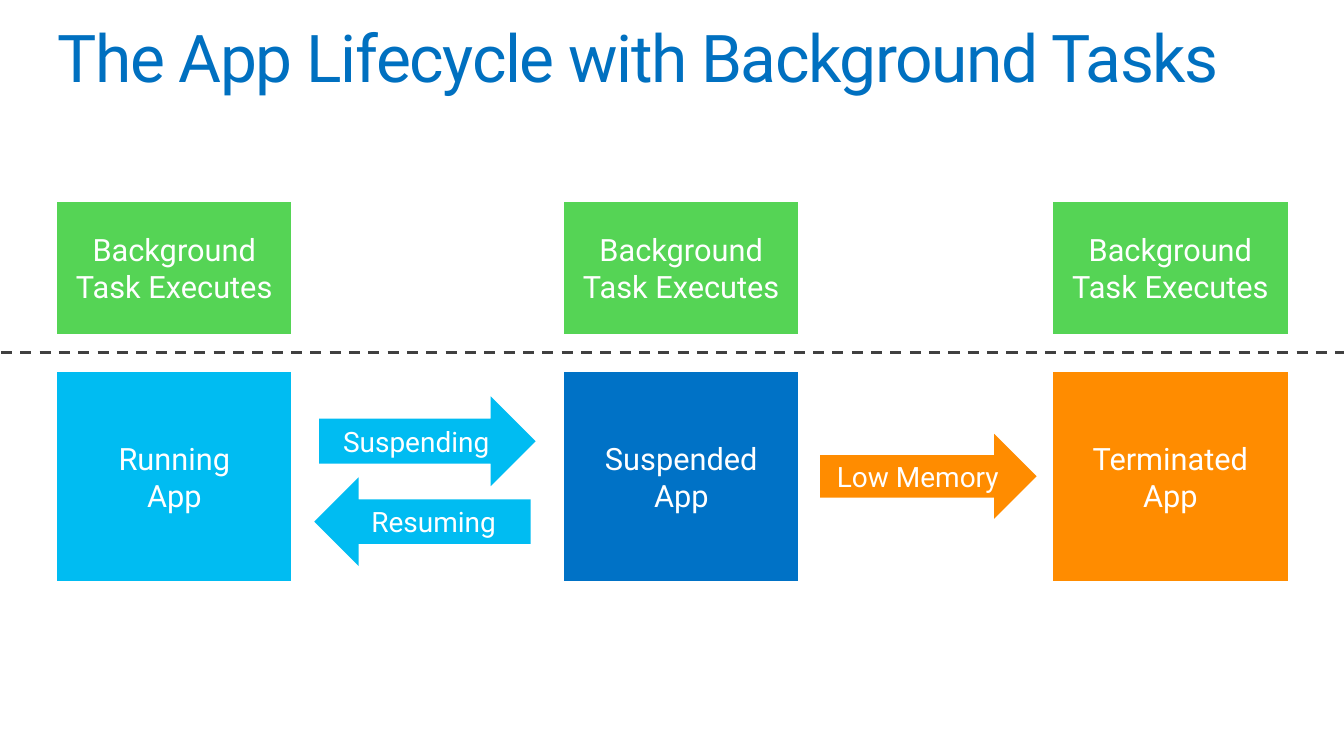
import pptx
import pptx.util
import pptx.dml.color
import pptx.enum.dml
import pptx.enum.shapes
import pptx.enum.text
import pptx.oxml
import pptx.oxml.ns

SHAPE = pptx.enum.shapes.MSO_SHAPE
ANCHOR = pptx.enum.text.MSO_ANCHOR
ALIGN = pptx.enum.text.PP_ALIGN

WHITE = "FFFFFF"
TITLE_BLUE = "0070C0"
CYAN = "00BCF2"
BLUE = "0072C6"
ORANGE = "FF8C00"
GREEN = "55D455"
GREY = "404040"


def px(length):
    return pptx.util.Emu(length * 9144)


def colour(hex_string):
    return pptx.dml.color.RGBColor.from_string(hex_string)


class LifecycleSlide:
    font_name = "Roboto"

    def __init__(self, deck):
        self.slide = deck.slides.add_slide(deck.slide_layouts[5])

    def add_words(self, paragraph, words, size, text_colour):
        run = paragraph.add_run()
        run.text = words
        run.font.name = self.font_name
        run.font.size = pptx.util.Pt(size)
        run.font.color.rgb = colour(text_colour)
        return run

    def title(self, words, left, top, width, height):
        heading = self.slide.shapes.title
        heading.left, heading.top = px(left), px(top)
        heading.width, heading.height = px(width), px(height)
        frame = heading.text_frame
        frame.word_wrap = True
        frame.auto_size = pptx.enum.text.MSO_AUTO_SIZE.NONE
        frame.vertical_anchor = ANCHOR.TOP
        frame.margin_left = frame.margin_right = 0
        frame.margin_top = frame.margin_bottom = 0
        paragraph = frame.paragraphs[0]
        paragraph.alignment = ALIGN.LEFT
        paragraph.line_spacing = 0.9
        run = self.add_words(paragraph, words, 48, TITLE_BLUE)
        run.font._element.set("spc", "-100")

    def block(self, kind, lines, left, top, width, height, fill, size):
        block = self.slide.shapes.add_shape(kind, px(left), px(top), px(width), px(height))
        block.shadow.inherit = False
        block.fill.solid()
        block.fill.fore_color.rgb = colour(fill)
        block.line.fill.background()
        frame = block.text_frame
        frame.word_wrap = True
        frame.vertical_anchor = ANCHOR.MIDDLE
        for index, line in enumerate(lines):
            paragraph = frame.add_paragraph() if index else frame.paragraphs[0]
            paragraph.alignment = ALIGN.CENTER
            self.add_words(paragraph, line, size, WHITE)

    def state(self, lines, left, top, height, fill):
        self.block(SHAPE.FLOWCHART_PROCESS, lines, left, top, 237, height, fill, 22.4)

    def transition(self, kind, label, left, top, height, fill):
        self.block(kind, [label], left, top, 219, height, fill, 20.4)

    def divider(self, left, right, top):
        divider = self.slide.shapes.add_connector(
            pptx.enum.shapes.MSO_CONNECTOR.STRAIGHT, px(left), px(top), px(right), px(top))
        divider.line.color.rgb = colour(GREY)
        divider.line.width = pptx.util.Pt(2)
        divider.line.dash_style = pptx.enum.dml.MSO_LINE.DASH
        divider._element.spPr.append(pptx.oxml.parse_xml(
            "<a:effectLst %s/>" % pptx.oxml.ns.nsdecls("a")))


def main():
    deck = pptx.Presentation()
    deck.slide_width, deck.slide_height = px(1360), px(765)
    lifecycle = LifecycleSlide(deck)
    lifecycle.title("The App Lifecycle with Background Tasks", 58, 26, 1301, 73)

    app_states = [("Running", 58, CYAN), ("Suspended", 571, BLUE), ("Terminated", 1066, ORANGE)]
    for state_name, left, fill in app_states:
        lifecycle.state([state_name, "App"], left, 376, 212, fill)
        lifecycle.state(["Background", "Task Executes"], left, 204, 134, GREEN)

    lifecycle.divider(1, 1360, 357)
    lifecycle.transition(SHAPE.RIGHT_ARROW, "Suspending", 323, 401, 91, CYAN)
    lifecycle.transition(SHAPE.LEFT_ARROW, "Resuming", 318, 483, 90, CYAN)
    lifecycle.transition(SHAPE.RIGHT_ARROW, "Low Memory", 830, 439, 86, ORANGE)
    deck.save("out.pptx")


if __name__ == "__main__":
    main()
